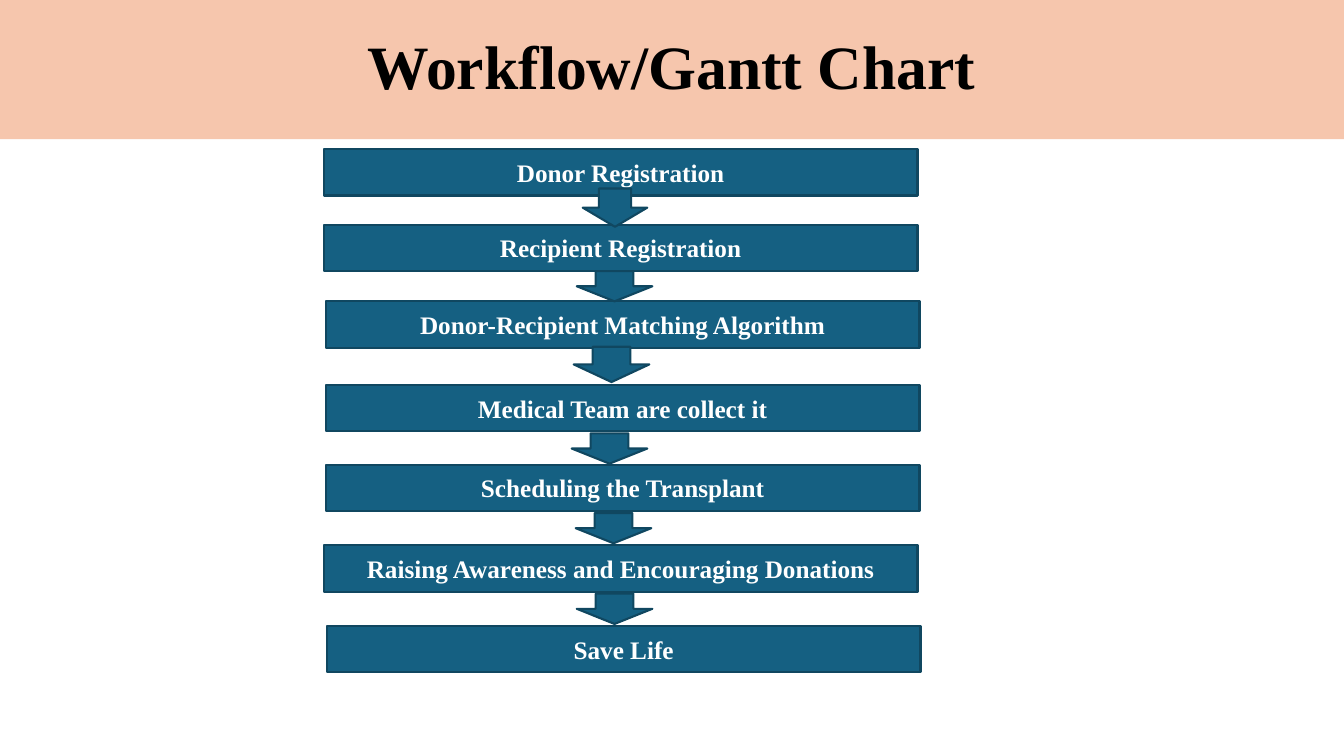
from dataclasses import dataclass

from pptx import Presentation
from pptx.dml.color import RGBColor
from pptx.enum.shapes import MSO_SHAPE
from pptx.enum.text import MSO_ANCHOR, PP_ALIGN
from pptx.util import Inches, Pt


@dataclass(frozen=True)
class Theme:
    font: str = "Times New Roman"
    banner: RGBColor = RGBColor(0xF6, 0xC6, 0xAD)
    step: RGBColor = RGBColor(0x15, 0x60, 0x82)
    outline: RGBColor = RGBColor(0x10, 0x47, 0x60)
    title_text: RGBColor = RGBColor(0, 0, 0)
    step_text: RGBColor = RGBColor(0xFF, 0xFF, 0xFF)
    title_size: Pt = Pt(44)
    step_size: Pt = Pt(18)
    outline_width: Pt = Pt(1.5)


THEME = Theme()
SLIDE_WIDTH, SLIDE_HEIGHT = 13.33, 7.5
BANNER_HEIGHT = 1.38
STEP_WIDTH, STEP_HEIGHT = 5.89, 0.46

# Wording, left and top of each step
STEPS = [
    ("Donor Registration", 3.21, 1.48),
    ("Recipient Registration", 3.21, 2.23),
    ("Donor-Recipient Matching Algorithm", 3.23, 2.99),
    ("Medical Team are collect it", 3.23, 3.82),
    ("Scheduling the Transplant", 3.23, 4.61),
    ("Raising Awareness and Encouraging Donations", 3.21, 5.41),
    ("Save Life", 3.24, 6.21),
]

# Left, top, width and height of each arrow between two steps
ARROWS = [
    (5.78, 1.87, 0.64, 0.38),
    (5.72, 2.69, 0.75, 0.3),
    (5.69, 3.44, 0.75, 0.35),
    (5.67, 4.3, 0.75, 0.3),
    (5.71, 5.09, 0.75, 0.3),
    (5.72, 5.89, 0.75, 0.3),
]


def add_filled_shape(slide, kind, box, fill, outline=None):
    """Add a flat shape; box is left, top, width, height in inches."""
    shape = slide.shapes.add_shape(kind, *map(Inches, box))
    shape.shadow.inherit = False
    shape.fill.solid()
    shape.fill.fore_color.rgb = fill
    if outline is None:
        shape.line.fill.background()
    else:
        shape.line.color.rgb = outline
        shape.line.width = THEME.outline_width
    return shape


def write_text(shape, text, size, color, line_spacing=1.0):
    frame = shape.text_frame
    frame.word_wrap = True
    frame.vertical_anchor = MSO_ANCHOR.MIDDLE
    paragraph = frame.paragraphs[0]
    paragraph.alignment = PP_ALIGN.CENTER
    paragraph.line_spacing = line_spacing
    run = paragraph.add_run()
    run.text = text
    for name, value in {"name": THEME.font, "size": size, "bold": True}.items():
        setattr(run.font, name, value)
    run.font.color.rgb = color


def add_banner(slide, title):
    box = (0, 0, SLIDE_WIDTH, BANNER_HEIGHT)
    banner = add_filled_shape(slide, MSO_SHAPE.RECTANGLE, box, THEME.banner)
    write_text(banner, title, THEME.title_size, THEME.title_text, 0.9)


def add_step(slide, text, left, top):
    box = (left, top, STEP_WIDTH, STEP_HEIGHT)
    step = add_filled_shape(slide, MSO_SHAPE.RECTANGLE, box, THEME.step, THEME.outline)
    write_text(step, text, THEME.step_size, THEME.step_text)


def main():
    presentation = Presentation()
    presentation.slide_width = Inches(SLIDE_WIDTH)
    presentation.slide_height = Inches(SLIDE_HEIGHT)
    slide = presentation.slides.add_slide(presentation.slide_layouts[6])

    add_banner(slide, "Workflow/Gantt Chart")
    for text, left, top in STEPS:
        add_step(slide, text, left, top)
    for box in ARROWS:
        add_filled_shape(slide, MSO_SHAPE.DOWN_ARROW, box, THEME.step, THEME.outline)

    presentation.save("out.pptx")


if __name__ == "__main__":
    main()
